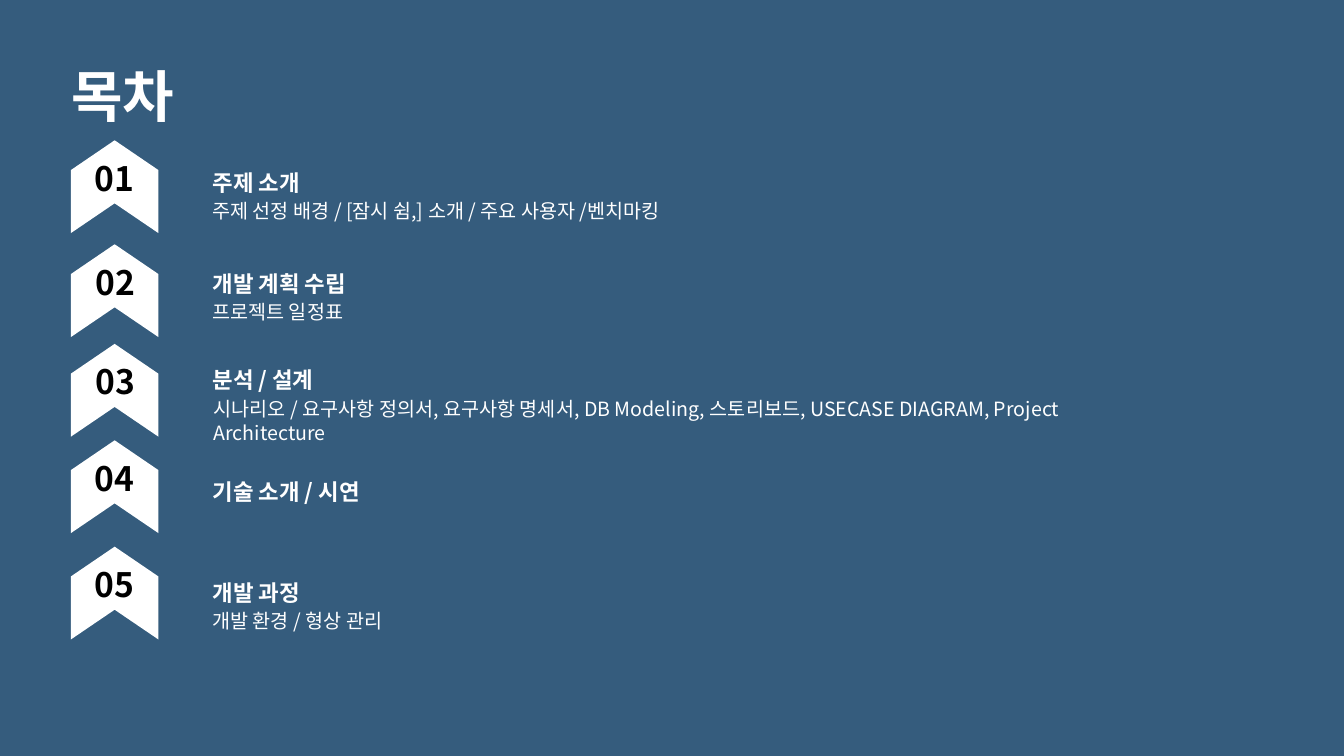
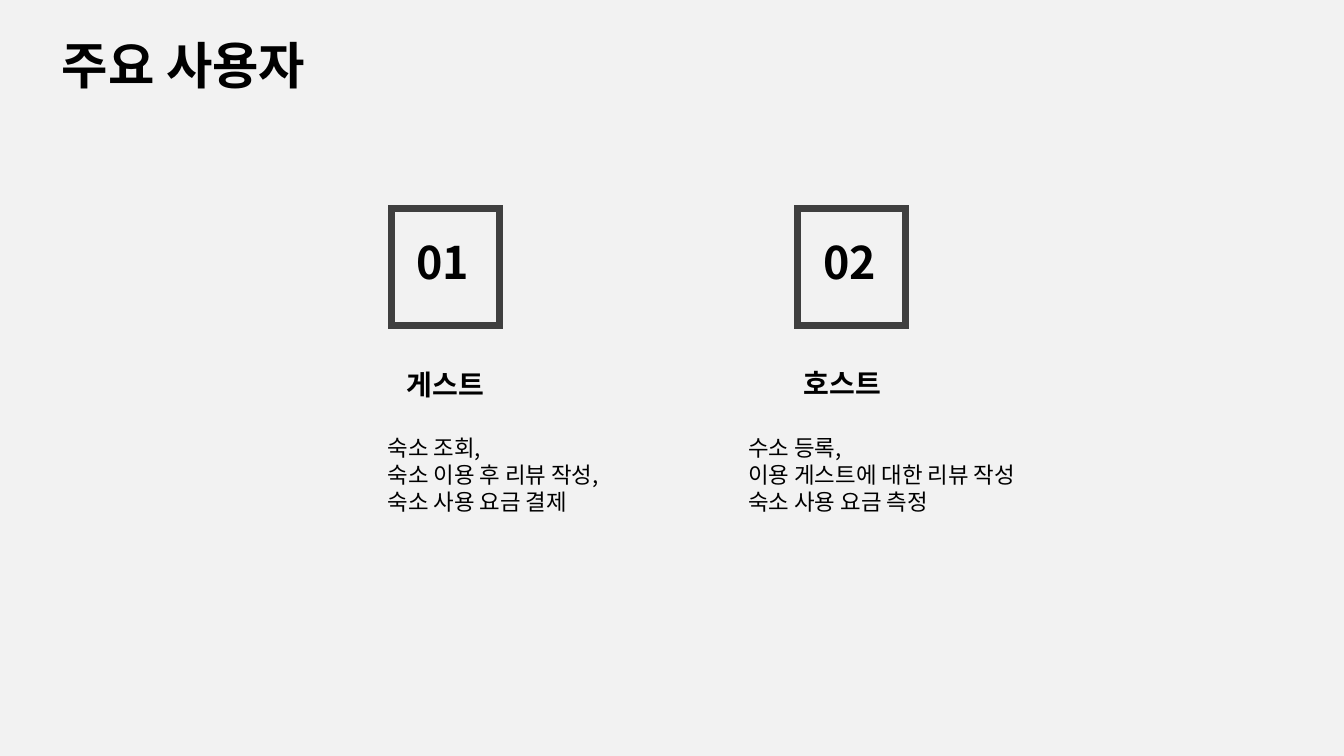
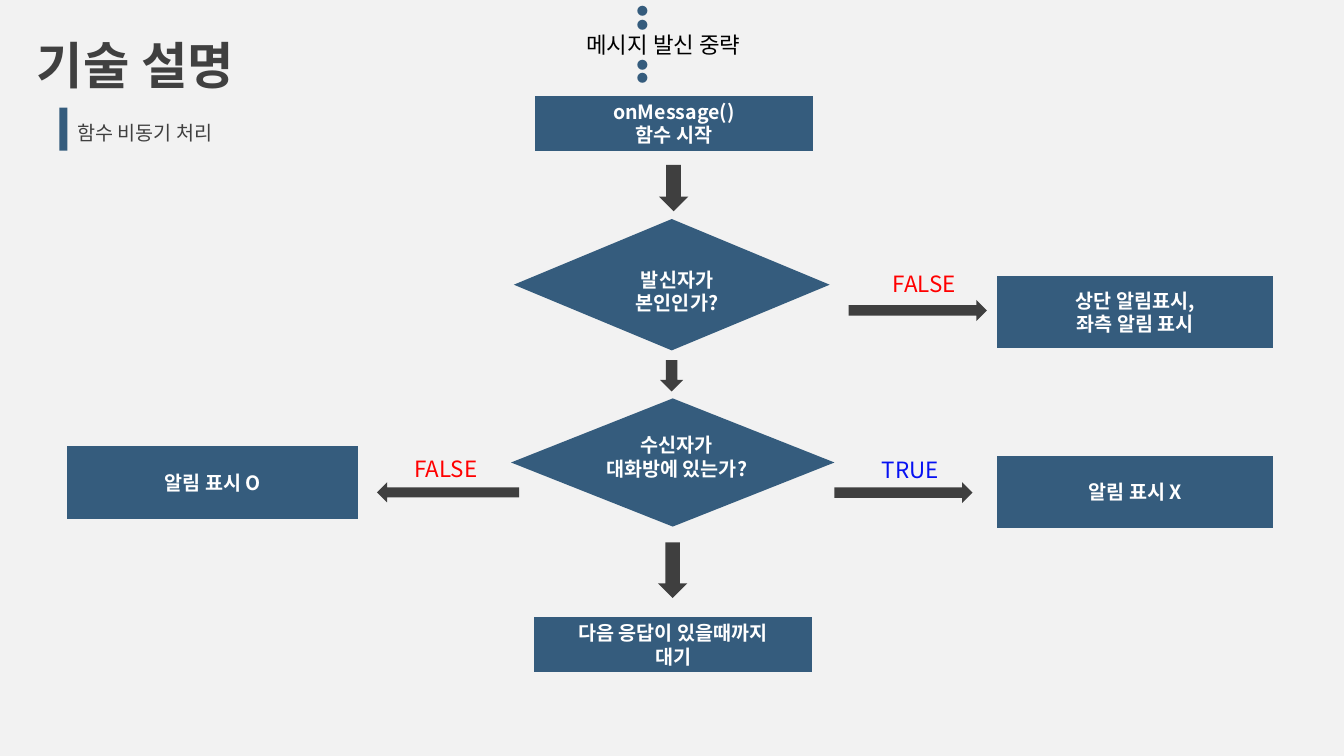
from dataclasses import dataclass

from lxml import etree
from pptx import Presentation
from pptx.dml.color import RGBColor
from pptx.enum.shapes import MSO_SHAPE
from pptx.enum.text import MSO_ANCHOR, PP_ALIGN
from pptx.oxml.ns import qn
from pptx.util import Cm, Pt

FONT = "Noto Sans CJK KR"
COLOURS = {
    "blue": "355C7D",
    "paper": "F2F2F2",
    "white": "FFFFFF",
    "black": "000000",
    "ink": "404040",
    "frame": "3F3F3F",
    "false": "FF0000",
    "true": "0611F2",
}
LEFT, CENTER = PP_ALIGN.LEFT, PP_ALIGN.CENTER
TOP, MIDDLE = MSO_ANCHOR.TOP, MSO_ANCHOR.MIDDLE
RECTANGLE, CHEVRON = MSO_SHAPE.RECTANGLE, MSO_SHAPE.CHEVRON
ROUND_TOP, ARROW = MSO_SHAPE.ROUND_2_SAME_RECTANGLE, MSO_SHAPE.RIGHT_ARROW
PROCESS, DECISION = MSO_SHAPE.FLOWCHART_PROCESS, MSO_SHAPE.FLOWCHART_DECISION


@dataclass(frozen=True)
class Area:
    """A rectangle in centimetres."""
    left: float
    top: float
    width: float
    height: float

    def lengths(self) -> list:
        return [Cm(n) for n in (self.left, self.top, self.width, self.height)]


@dataclass(frozen=True)
class Style:
    size: float
    colour: str = "black"
    bold: bool = False
    align: PP_ALIGN = LEFT
    kerned: bool = True


@dataclass(frozen=True)
class Chapter:
    number: str
    number_left: float
    chevron_top: float
    heading_top: float
    heading: str
    detail: str = ""
    detail_width: float = 14
    detail_height: float = 0.89


@dataclass(frozen=True)
class User:
    number: str
    frame_left: float
    number_left: float
    name: str
    name_left: float
    name_top: float
    tasks: str
    tasks_left: float


@dataclass(frozen=True)
class Step:
    text: str
    area: Area


@dataclass(frozen=True)
class Decision:
    text: str
    diamond: Area
    text_area: Area


@dataclass(frozen=True)
class Answer:
    text: str
    colour: str
    left: float
    top: float


@dataclass(frozen=True)
class Arrow:
    area: Area
    rotation: float = 0


# Shared drawing functions
def rgb(name: str) -> RGBColor:
    return RGBColor.from_string(COLOURS[name])


def style_paragraph(para, style: Style) -> None:
    para.alignment = style.align
    font = para.font
    font.name, font.size, font.bold = FONT, Pt(style.size), style.bold
    font.color.rgb = rgb(style.colour)
    properties = para._p.pPr.find(qn("a:defRPr"))
    east_asian = etree.Element(qn("a:ea"), typeface=FONT)
    properties.find(qn("a:latin")).addnext(east_asian)
    if not style.kerned:
        properties.set("kern", "0")


def write(box, text: str, style: Style, anchor: MSO_ANCHOR = TOP) -> None:
    frame = box.text_frame
    frame.word_wrap = True
    frame.vertical_anchor = anchor
    for index, line in enumerate(text.split("\n")):
        para = frame.paragraphs[0] if index == 0 else frame.add_paragraph()
        para.text = line
        style_paragraph(para, style)


def add_text(page, area: Area, text: str, style: Style):
    box = page.shapes.add_textbox(*area.lengths())
    write(box, text, style)
    return box


def add_filled(page, kind: MSO_SHAPE, area: Area, colour: str, rotation: float = 0):
    shape = page.shapes.add_shape(kind, *area.lengths())
    shape.shadow.inherit = False
    shape.fill.solid()
    shape.fill.fore_color.rgb = rgb(colour)
    shape.line.fill.background()
    shape.rotation = rotation
    return shape


def add_page(deck, background: str, title: str, left: float, top: float, style: Style):
    page = deck.slides.add_slide(deck.slide_layouts[6])
    page.background.fill.solid()
    page.background.fill.fore_color.rgb = rgb(background)
    add_text(page, Area(left, top, 10.7, 1.9), title, style)
    return page


# Contents
CHAPTERS = [
    Chapter("01", 2.11, 3.6, 4.09, "주제 소개",
            "주제 선정 배경 / [잠시 쉼,] 소개 / 주요 사용자 /벤치마킹"),
    Chapter("02", 2.13, 6.22, 6.63, "개발 계획 수립", "프로젝트 일정표"),
    Chapter("03", 2.13, 8.73, 9.06, "분석 / 설계",
            "시나리오 / 요구사항 정의서, 요구사항 명세서, DB Modeling, 스토리보드, "
            "USECASE DIAGRAM, Project Architecture", 24.69, 1.52),
    Chapter("04", 2.11, 11.16, 11.88, "기술 소개 / 시연"),
    Chapter("05", 2.11, 13.84, 14.43, "개발 과정", "개발 환경 / 형상 관리"),
]


def add_label(page, area: Area, text: str, style: Style) -> None:
    label = add_filled(page, ROUND_TOP, area, "blue")
    label.fill.background()
    write(label, text, style)


def add_chapter(page, chapter: Chapter) -> None:
    chevron = add_filled(page, CHEVRON, Area(1.72, chapter.chevron_top, 2.34, 2.21),
                         "white", 270)
    chevron.adjustments[0] = 0.34
    add_text(page, Area(chapter.number_left, chapter.chevron_top + 0.25, 1.55, 1.27),
             chapter.number, Style(24, bold=True, align=CENTER))
    add_label(page, Area(5.06, chapter.heading_top, 14, 0.99),
              chapter.heading, Style(16, "white", bold=True))
    if chapter.detail:
        add_label(page, Area(5.06, chapter.heading_top + 0.75, chapter.detail_width,
                             chapter.detail_height),
                  chapter.detail, Style(14, "white"))


def build_contents(deck) -> None:
    page = add_page(deck, "blue", "목차", 1.55, 1.42, Style(40, "white", bold=True))
    for chapter in CHAPTERS:
        add_chapter(page, chapter)


# Main users
USERS = [
    User("01", 9.87, 10.12, "게스트", 8.92, 9.14,
         "숙소 조회,\n숙소 이용 후 리뷰 작성,\n숙소 사용 요금 결제", 9.52),
    User("02", 20.11, 20.37, "호스트", 18.93, 9.11,
         "수소 등록,\n이용 게스트에 대한 리뷰 작성\n숙소 사용 요금 측정", 18.61),
]


def add_user(page, user: User) -> None:
    frame = add_filled(page, RECTANGLE, Area(user.frame_left, 5.25, 2.72, 2.95), "paper")
    frame.fill.background()
    frame.line.color.rgb = rgb("frame")
    frame.line.width = Pt(5)
    etree.SubElement(frame.line._get_or_add_ln(), qn("a:miter"), lim="800000")
    add_text(page, Area(user.number_left, 5.79, 2.08, 1.63),
             user.number, Style(32, bold=True, align=CENTER))
    add_text(page, Area(user.name_left, user.name_top, 4.6, 1.19),
             user.name, Style(20, bold=True, align=CENTER))
    add_text(page, Area(user.tasks_left, 10.82, 8.46, 1.57),
             user.tasks, Style(16, kerned=False))


def build_users(deck) -> None:
    page = add_page(deck, "paper", "주요 사용자", 1.31, 0.74, Style(36, bold=True))
    for user in USERS:
        add_user(page, user)


# Message flow
FLOW_STYLE = Style(14, "white", bold=True, align=CENTER)
STEPS = [
    Step("onMessage()\n함수 시작", Area(13.48, 2.41, 7.01, 1.4)),
    Step("상단 알림표시,\n좌측 알림 표시", Area(25.13, 6.95, 6.96, 1.83)),
    Step("알림 표시 X", Area(25.13, 11.48, 6.96, 1.83)),
    Step("알림 표시 O", Area(1.69, 11.24, 7.34, 1.83)),
    Step("다음 응답이 있을때까지\n대기", Area(13.46, 15.54, 7.01, 1.4)),
]
DECISIONS = [
    Decision("발신자가\n본인인가?", Area(12.95, 5.52, 7.96, 3.31),
             Area(14.32, 6.62, 5.49, 1.5)),
    Decision("수신자가\n대화방에 있는가?", Area(12.88, 10.04, 8.15, 3.23),
             Area(14.25, 10.79, 5.61, 1.45)),
]
ANSWERS = [
    Answer("FALSE", "false", 22.25, 6.68),
    Answer("FALSE", "false", 10.19, 11.35),
    Answer("TRUE", "true", 21.97, 11.38),
]
ARROWS = [
    Arrow(Area(16.39, 4.37, 1.17, 0.74), 90),
    Arrow(Area(16.53, 9.18, 0.79, 0.58), 90),
    Arrow(Area(16.25, 14, 1.4, 0.74), 90),
    Arrow(Area(21.39, 7.56, 3.48, 0.53)),
    Arrow(Area(21.03, 12.15, 3.48, 0.53)),
    Arrow(Area(9.5, 12.15, 3.58, 0.51), 180),
]


def add_skipped_part(page) -> None:
    box = add_text(page, Area(14.53, -0.01, 10.69, 0.91),
                   "●\n●\n메시지 발신 중략\n●\n●", Style(8, "blue", kerned=False))
    for para in box.text_frame.paragraphs:
        if para.text == "●":
            para._p.pPr.set("marL", str(Cm(1.27)))
        else:
            para.font.size = Pt(16)
            para.font.color.rgb = rgb("black")


def build_flow(deck) -> None:
    page = add_page(deck, "paper", "기술 설명", 0.68, 0.74, Style(36, "ink", bold=True))
    add_text(page, Area(1.7, 2.92, 11.66, 0.86), "함수 비동기 처리", Style(14, "ink"))
    add_filled(page, RECTANGLE, Area(1.5, 2.71, 0.2, 1.09), "blue")
    add_skipped_part(page)
    for step in STEPS:
        write(add_filled(page, PROCESS, step.area, "blue"), step.text, FLOW_STYLE, MIDDLE)
    for decision in DECISIONS:
        add_filled(page, DECISION, decision.diamond, "blue")
        add_text(page, decision.text_area, decision.text, FLOW_STYLE)
    for arrow in ARROWS:
        add_filled(page, ARROW, arrow.area, "frame", arrow.rotation)
    for answer in ANSWERS:
        add_text(page, Area(answer.left, answer.top, 2.41, 0.94),
                 answer.text, Style(16, answer.colour))


def main() -> None:
    deck = Presentation()
    deck.slide_width, deck.slide_height = Cm(33.87), Cm(19.05)
    build_contents(deck)
    build_users(deck)
    build_flow(deck)
    deck.save("out.pptx")


if __name__ == "__main__":
    main()
